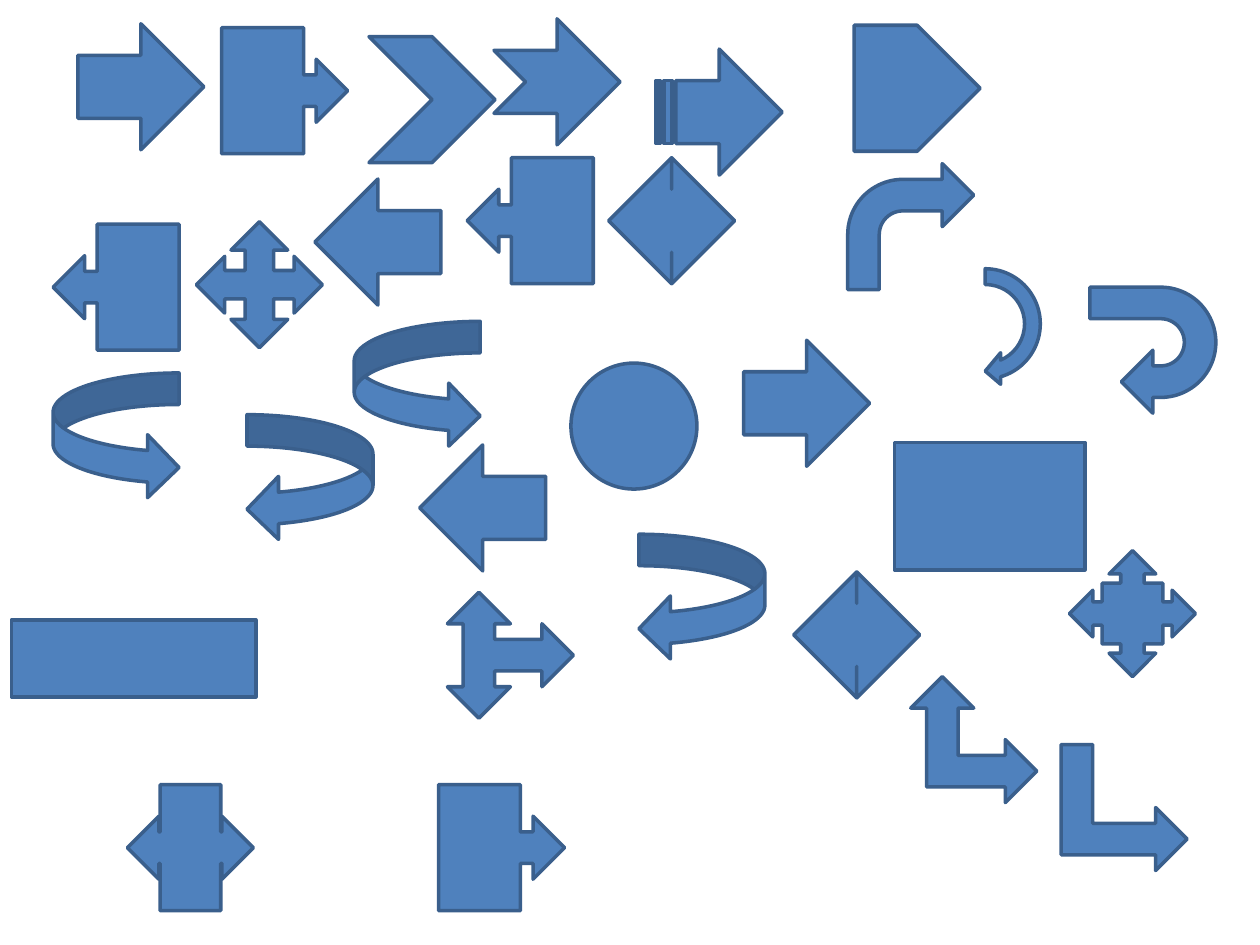
from dataclasses import dataclass

from pptx import Presentation
from pptx.dml.color import RGBColor
from pptx.enum.shapes import MSO_SHAPE as KIND
from pptx.util import Cm, Pt

# Basic shapes and plain arrows
RECT, OVAL = KIND.RECTANGLE, KIND.OVAL
LEFT, RIGHT = KIND.LEFT_ARROW, KIND.RIGHT_ARROW
UP, DOWN = KIND.UP_ARROW, KIND.DOWN_ARROW
LEFT_RIGHT, UP_DOWN = KIND.LEFT_RIGHT_ARROW, KIND.UP_DOWN_ARROW
QUAD, TRIPLE, LEFT_UP = KIND.QUAD_ARROW, KIND.LEFT_RIGHT_UP_ARROW, KIND.LEFT_UP_ARROW
# Bent and curved arrows
BENT, BENT_UP, U_TURN = KIND.BENT_ARROW, KIND.BENT_UP_ARROW, KIND.U_TURN_ARROW
CURVE_RIGHT, CURVE_LEFT = KIND.CURVED_RIGHT_ARROW, KIND.CURVED_LEFT_ARROW
CURVE_DOWN, CURVE_UP = KIND.CURVED_DOWN_ARROW, KIND.CURVED_UP_ARROW
ROUND = KIND.CIRCULAR_ARROW
# Block arrows and callouts
STRIPED, NOTCHED = KIND.STRIPED_RIGHT_ARROW, KIND.NOTCHED_RIGHT_ARROW
PLATE, CHEVRON = KIND.PENTAGON, KIND.CHEVRON
CALL_RIGHT, CALL_LEFT = KIND.RIGHT_ARROW_CALLOUT, KIND.LEFT_ARROW_CALLOUT
CALL_DOWN, CALL_UP = KIND.DOWN_ARROW_CALLOUT, KIND.UP_ARROW_CALLOUT
CALL_BOTH, CALL_QUAD = KIND.LEFT_RIGHT_ARROW_CALLOUT, KIND.QUAD_ARROW_CALLOUT

COLORS = {"fill": "4F81BD", "line": "3A5F8C"}
SIDE = 2.54
BLANK = 6


@dataclass
class Item:
    kind: KIND
    left: float
    top: float
    turn: int = 0
    width: float = SIDE
    height: float = SIDE


# From back to front, lengths in centimetres
ITEMS = [
    Item(RECT, 0.23, 12.5, width=4.93, height=1.55),
    Item(OVAL, 11.51, 7.32),
    Item(RECT, 18.03, 8.92, width=3.84, height=2.57),
    Item(LEFT, 6.35, 3.61),
    Item(UP, 14.99, 6.86, 90),
    Item(DOWN, 8.46, 8.97, 90),
    Item(LEFT_RIGHT, 12.27, 3.18),
    Item(UP_DOWN, 16, 11.53, 90),
    Item(QUAD, 3.96, 4.47),
    Item(TRIPLE, 9.02, 11.94, 90),
    Item(BENT, 17.09, 3.3),
    Item(U_TURN, 21.97, 5.79, 90),
    Item(LEFT_UP, 18.36, 13.64, 90),
    Item(BENT_UP, 21.39, 15.01, 90),
    Item(CURVE_RIGHT, 1.07, 7.52),
    Item(CURVE_LEFT, 4.98, 8.36),
    Item(CURVE_DOWN, 12.88, 10.77, 90),
    Item(CURVE_UP, 7.14, 6.48, 90),
    Item(STRIPED, 13.23, 0.99),
    Item(NOTCHED, 9.96, 0.38),
    Item(PLATE, 17.22, 0.51),
    Item(CHEVRON, 7.44, 0.74),
    Item(CALL_RIGHT, 4.47, 0.56),
    Item(CALL_DOWN, 1.07, 4.52, 90),
    Item(CALL_LEFT, 9.42, 3.18),
    Item(CALL_UP, 8.84, 15.82, 90),
    Item(CALL_BOTH, 2.57, 15.82),
    Item(CALL_QUAD, 21.56, 11.1),
    Item(ROUND, 18.59, 5.26, 90),
    Item(RIGHT, 1.57, 0.48),
]


def draw(shapes, item: Item) -> None:
    shape = shapes.add_shape(item.kind, Cm(item.left), Cm(item.top),
                             Cm(item.width), Cm(item.height))
    shape.rotation = item.turn
    shape.shadow.inherit = False
    shape.fill.solid()
    shape.fill.fore_color.rgb = RGBColor.from_string(COLORS["fill"])
    shape.line.color.rgb = RGBColor.from_string(COLORS["line"])
    shape.line.width = Pt(2)


def main() -> None:
    deck = Presentation()
    deck.slide_width, deck.slide_height = Cm(25.4), Cm(19.05)
    slide = deck.slides.add_slide(deck.slide_layouts[BLANK])
    for item in ITEMS:
        draw(slide.shapes, item)
    deck.save("out.pptx")


if __name__ == "__main__":
    main()
